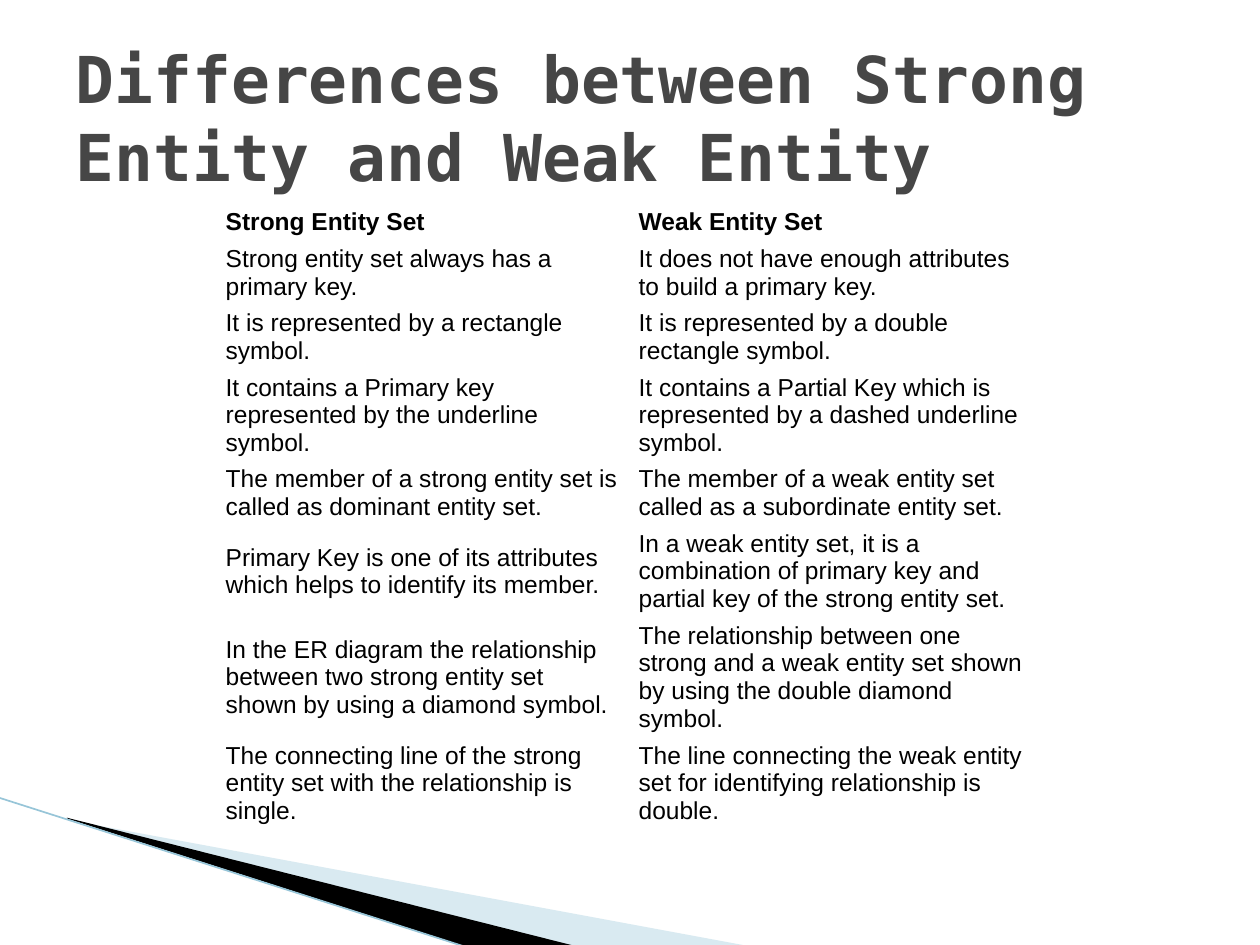
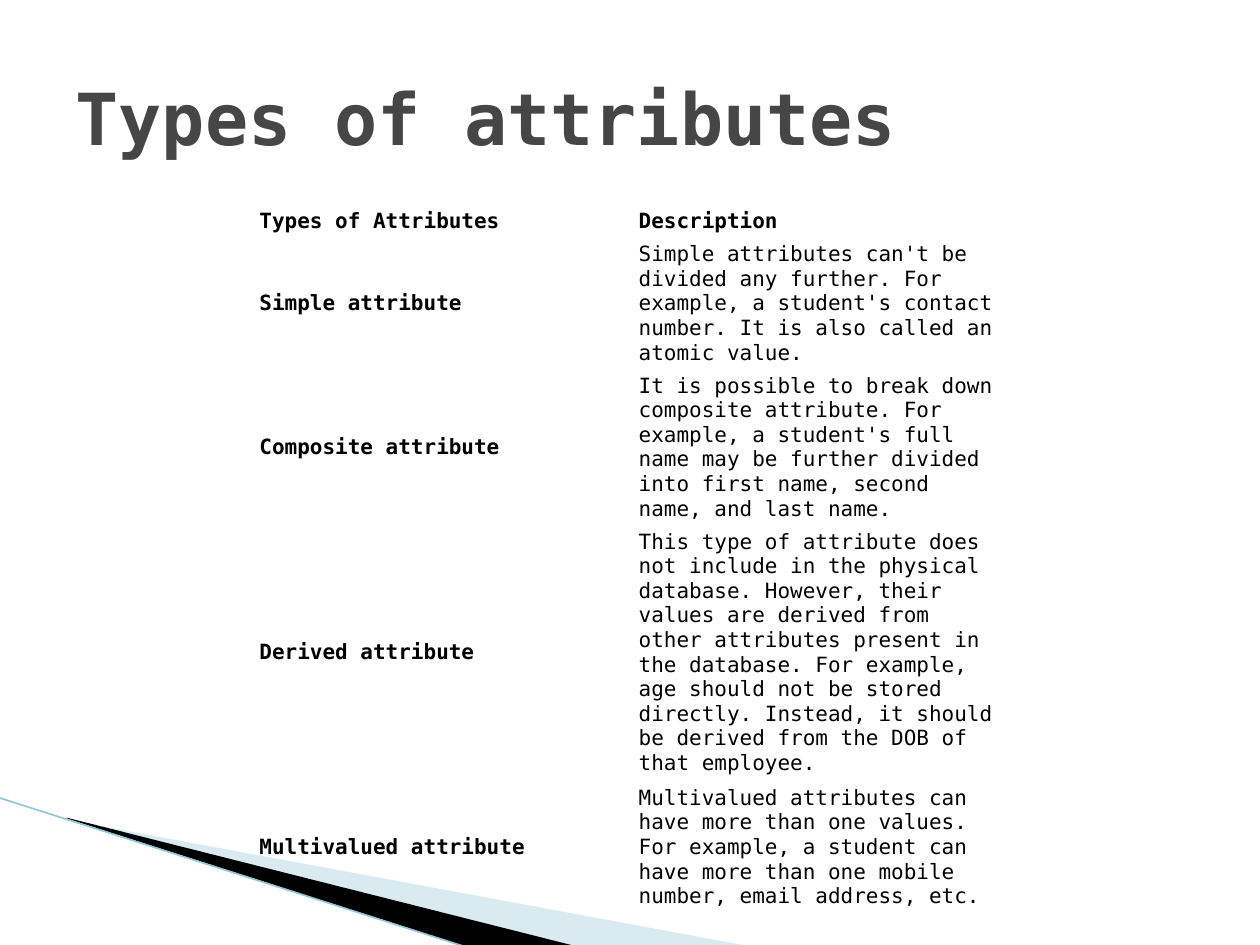
"""Build two slides on database entities and attributes."""
from lxml.etree import SubElement
from pptx import Presentation
from pptx.dml.color import RGBColor
from pptx.enum.text import MSO_ANCHOR, MSO_AUTO_SIZE, PP_ALIGN
from pptx.enum.shapes import MSO_CONNECTOR
from pptx.oxml.ns import qn
from pptx.util import Pt

MONO, SANS = "DejaVu Sans Mono", "Arial"
TITLE, BLACK, PALE, EDGE = "464646", "000000", "A0CBDC", "97C5D8"
NO_GRID = "{2D5ABB26-0587-4C30-8999-92F81FD0307C}"

PALE_WEDGE = [(39.6, 468.7), (428.4, 540.7), (328.3, 540.7), (39.6, 468)]
BLACK_WEDGE = [(38.2, 467.3), (329, 540.7), (267.8, 541.4), (38.9, 468)]
EDGE_LINE = [(-0.7, 455.8), (267.1, 541.4)]

ENTITY_ROWS = [
    ("Strong Entity Set", "Weak Entity Set"),
    ("Strong entity set always has a primary key.",
     "It does not have enough attributes to build a primary key."),
    ("It is represented by a rectangle symbol.",
     "It is represented by a double rectangle symbol."),
    ("It contains a Primary key represented by the underline symbol.",
     "It contains a Partial Key which is represented by a dashed underline "
     "symbol."),
    ("The member of a strong entity set is called as dominant entity set.",
     "The member of a weak entity set called as a subordinate entity set."),
    ("Primary Key is one of its attributes which helps to identify its "
     "member.",
     "In a weak entity set, it is a combination of primary key and partial "
     "key of the strong entity set."),
    ("In the ER diagram the relationship between two strong entity set shown "
     "by using a diamond symbol.",
     "The relationship between one strong and a weak entity set shown by "
     "using the double diamond symbol."),
    ("The connecting line of the strong entity set with the relationship is "
     "single.",
     "The line connecting the weak entity set for identifying relationship "
     "is double."),
]

ATTRIBUTE_ROWS = [
    ("Types of Attributes", "Description"),
    ("Simple attribute",
     "Simple attributes can't be divided any further. For example, a "
     "student's contact number. It is also called an atomic value."),
    ("Composite attribute",
     "It is possible to break down composite attribute. For example, a "
     "student's full name may be further divided into first name, second "
     "name, and last name."),
    ("Derived attribute",
     "This type of attribute does not include in the physical database. "
     "However, their values are derived from other attributes present in the "
     "database. For example, age should not be stored directly. Instead, it "
     "should be derived from the DOB of that employee."),
    ("Multivalued attribute",
     "Multivalued attributes can have more than one values. For example, a "
     "student can have more than one mobile number, email address, etc."),
]


def rgb(color):
    """Turn a hex string into a colour."""
    return RGBColor.from_string(color)


class Deck:
    """Hold the shared style and the current slide."""

    def __init__(self):
        """Start an empty 10 by 7.5 inch presentation."""
        self.prs = Presentation()
        self.prs.slide_width, self.prs.slide_height = Pt(720), Pt(540)
        self.s = None

    def slide(self, title, size):
        """Add a slide with its title and corner wedges."""
        self.s = self.prs.slides.add_slide(self.prs.slide_layouts[5])
        self.title(title, size)
        self.wedge(PALE_WEDGE, PALE, 40)
        self.wedge(BLACK_WEDGE, BLACK)
        self.line(*EDGE_LINE)

    def style(self, p, font, size, color, bold):
        """Format a left-aligned paragraph and its runs."""
        p.alignment = PP_ALIGN.LEFT
        for r in p.runs:
            r.font.name, r.font.size, r.font.bold = font, Pt(size), bold
            r.font.color.rgb = rgb(color)

    def title(self, text, size):
        """Place and format the title placeholder."""
        sp = self.s.shapes.title
        sp.left, sp.top, sp.width, sp.height = Pt(36), Pt(21.6), Pt(648), Pt(90)
        tf = sp.text_frame
        tf.text = text
        tf.word_wrap, tf.auto_size = True, MSO_AUTO_SIZE.NONE
        tf.vertical_anchor = MSO_ANCHOR.MIDDLE
        self.style(tf.paragraphs[0], MONO, size, TITLE, True)

    def wedge(self, points, color, opacity=100):
        """Draw a filled outline through the points."""
        corners = [(Pt(x), Pt(y)) for x, y in points]
        builder = self.s.shapes.build_freeform(*corners[0], scale=1.0)
        builder.add_line_segments(corners[1:], close=True)
        sp = builder.convert_to_shape()
        sp.shadow.inherit = False
        sp.fill.solid()
        sp.fill.fore_color.rgb = rgb(color)
        sp.line.fill.background()
        if opacity < 100:
            clr = sp.fill._xPr.find(".//" + qn("a:srgbClr"))
            SubElement(clr, qn("a:alpha"), val=str(opacity * 1000))

    def line(self, start, end):
        """Draw the thin edge line."""
        ends = [Pt(v) for v in start + end]
        cxn = self.s.shapes.add_connector(MSO_CONNECTOR.STRAIGHT, *ends)
        cxn.line.color.rgb = rgb(EDGE)
        cxn.line.width = Pt(0.95)
        SubElement(cxn._element.spPr, qn("a:effectLst"))

    def table(self, rows, heights, col_width, font, size, inset, bold_first):
        """Add a centred plain two-column table with a bold header."""
        left = 360 - col_width
        frame = self.s.shapes.add_table(len(rows), 2, Pt(left), Pt(116.6),
                                        Pt(2 * col_width), Pt(sum(heights)))
        tbl = frame.table
        tbl.first_row = tbl.horz_banding = False
        tbl._tbl.tblPr.find(qn("a:tableStyleId")).text = NO_GRID
        for col in tbl.columns:
            col.width = Pt(col_width)
        for i, (texts, height) in enumerate(zip(rows, heights)):
            tbl.rows[i].height = Pt(height)
            for j, text in enumerate(texts):
                cell = tbl.cell(i, j)
                cell.text = text
                cell.fill.background()
                cell.vertical_anchor = MSO_ANCHOR.MIDDLE
                cell.margin_left = cell.margin_right = Pt(5)
                cell.margin_top = cell.margin_bottom = Pt(inset)
                bold = i == 0 or (bold_first and j == 0)
                self.style(cell.text_frame.paragraphs[0], font, size, BLACK,
                           bold)


def main():
    """Build both slides and save them."""
    deck = Deck()
    deck.slide("Differences between Strong Entity and Weak Entity", 36.9)
    deck.table(ENTITY_ROWS, [21, 36.7, 36.7, 52.6, 36.7, 52.6, 68.4, 52.6],
               236, SANS, 14, 2.6, False)
    deck.slide("Types of attributes", 41)
    deck.table(ATTRIBUTE_ROWS, [19.4, 62.6, 77, 120.2, 77],
               216.7, MONO, 12, 2.4, True)
    deck.prs.save("out.pptx")


main()
